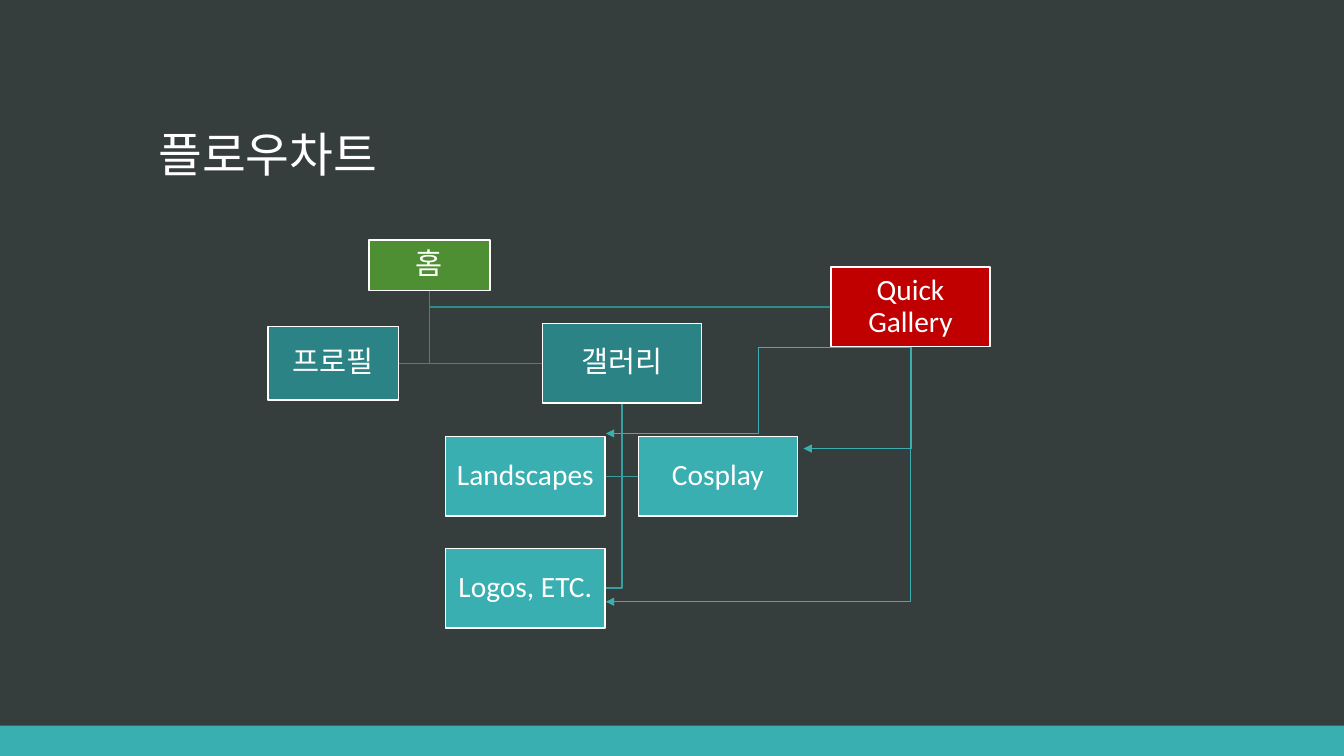
from lxml.etree import SubElement
from pptx import Presentation
from pptx.dml.color import RGBColor
from pptx.enum.shapes import MSO_CONNECTOR, MSO_SHAPE
from pptx.enum.text import MSO_ANCHOR, PP_ALIGN
from pptx.oxml.ns import qn
from pptx.util import Inches, Pt

TITLE = "플로우차트"
WHITE, TEAL = "FFFFFF", "3AAFB2"
PAGE_WIDTH, PAGE_HEIGHT, BAR_HEIGHT = 13.33, 7.5, 0.3
NODES = {
    "홈": (3.66, 2.38, 1.2, 0.5, "4F8F33"),
    "프로필": (2.66, 3.24, 1.29, 0.73, "2B8386"),
    "갤러리": (5.38, 3.21, 1.58, 0.79, "2B8386"),
    "Landscapes": (4.42, 4.33, 1.58, 0.79, TEAL),
    "Cosplay": (6.33, 4.33, 1.58, 0.79, TEAL),
    "Logos, ETC.": (4.42, 5.44, 1.58, 0.79, TEAL),
    "Quick Gallery": (8.24, 2.65, 1.58, 0.79, "C00000"),
}
BRANCHES = [
    ("홈", ["Quick Gallery", "갤러리", "프로필"], "2E8C8F"),
    ("갤러리", ["Logos, ETC.", "Cosplay", "Landscapes"], "359FA2"),
]
ARROW_START = (9.03, 3.45)
ARROWS = [
    ((7.97, 4.45), -700),
    ((6.01, 5.97), 0),
    ((6.01, 4.3), 50000),
]


def color(value):
    return RGBColor.from_string(value)


def add_box(page, left, top, width, height, fill):
    box = page.shapes.add_shape(
        MSO_SHAPE.RECTANGLE, Inches(left), Inches(top), Inches(width), Inches(height)
    )
    box.shadow.inherit = False
    box.fill.solid()
    box.fill.fore_color.rgb = color(fill)
    box.line.fill.background()
    return box


def style_text(frame, text, size, font, align, anchor):
    frame.word_wrap = True
    frame.vertical_anchor = anchor
    para = frame.paragraphs[0]
    para.text = text
    para.alignment = align
    para.line_spacing = 0.9
    para.font.size = Pt(size)
    para.font.name = font
    para.font.color.rgb = color(WHITE)


def add_node(page, text, left, top, width, height, fill):
    box = add_box(page, left, top, width, height, fill)
    box.line.color.rgb = color(WHITE)
    box.line.width = Pt(1)
    frame = box.text_frame
    frame.margin_left = frame.margin_right = Inches(0.01)
    frame.margin_top = frame.margin_bottom = Inches(0.01)
    style_text(frame, text, 21, "Calibri", PP_ALIGN.CENTER, MSO_ANCHOR.MIDDLE)


def add_branch(page, parent, child, line_color):
    left, top, width, height, _ = NODES[parent]
    stem, start = left + width / 2, top + height
    left, top, width, height, _ = NODES[child]
    middle = top + height / 2
    side = left if left > stem else left + width
    builder = page.shapes.build_freeform(Inches(stem), Inches(start))
    corners = [(stem, middle), (side, middle)]
    builder.add_line_segments([(Inches(x), Inches(y)) for x, y in corners], close=False)
    branch = builder.convert_to_shape()
    branch.shadow.inherit = False
    branch.fill.background()
    branch.line.color.rgb = color(line_color)
    branch.line.width = Pt(1)


def add_arrow(page, end, bend):
    points = [Inches(value) for value in ARROW_START + end]
    arrow = page.shapes.add_connector(MSO_CONNECTOR.ELBOW, *points)
    arrow.line.color.rgb = color(TEAL)
    arrow.line.width = Pt(0.5)
    properties = arrow._element.spPr
    guides = properties.find(qn("a:prstGeom")).get_or_add_avLst()
    SubElement(guides, qn("a:gd"), name="adj1", fmla=f"val {bend}")
    SubElement(properties.find(qn("a:ln")), qn("a:tailEnd"), type="triangle")
    SubElement(properties, qn("a:effectLst"))


def main():
    deck = Presentation()
    deck.slide_width, deck.slide_height = Inches(PAGE_WIDTH), Inches(PAGE_HEIGHT)
    page = deck.slides.add_slide(deck.slide_layouts[5])
    page.background.fill.solid()
    page.background.fill.fore_color.rgb = color("363D3D")
    add_box(page, 0, PAGE_HEIGHT - BAR_HEIGHT, PAGE_WIDTH, BAR_HEIGHT, TEAL)

    title = page.shapes.title
    title.left, title.top = Inches(1.47), Inches(0.51)
    title.width, title.height = Inches(10.4), Inches(1.35)
    style_text(
        title.text_frame, TITLE, 34, "Noto Sans CJK KR", PP_ALIGN.LEFT, MSO_ANCHOR.BOTTOM
    )

    for parent, children, line_color in BRANCHES:
        for child in children:
            add_branch(page, parent, child, line_color)
    for text, place in NODES.items():
        add_node(page, text, *place)
    for end, bend in ARROWS:
        add_arrow(page, end, bend)
    deck.save("out.pptx")


if __name__ == "__main__":
    main()
